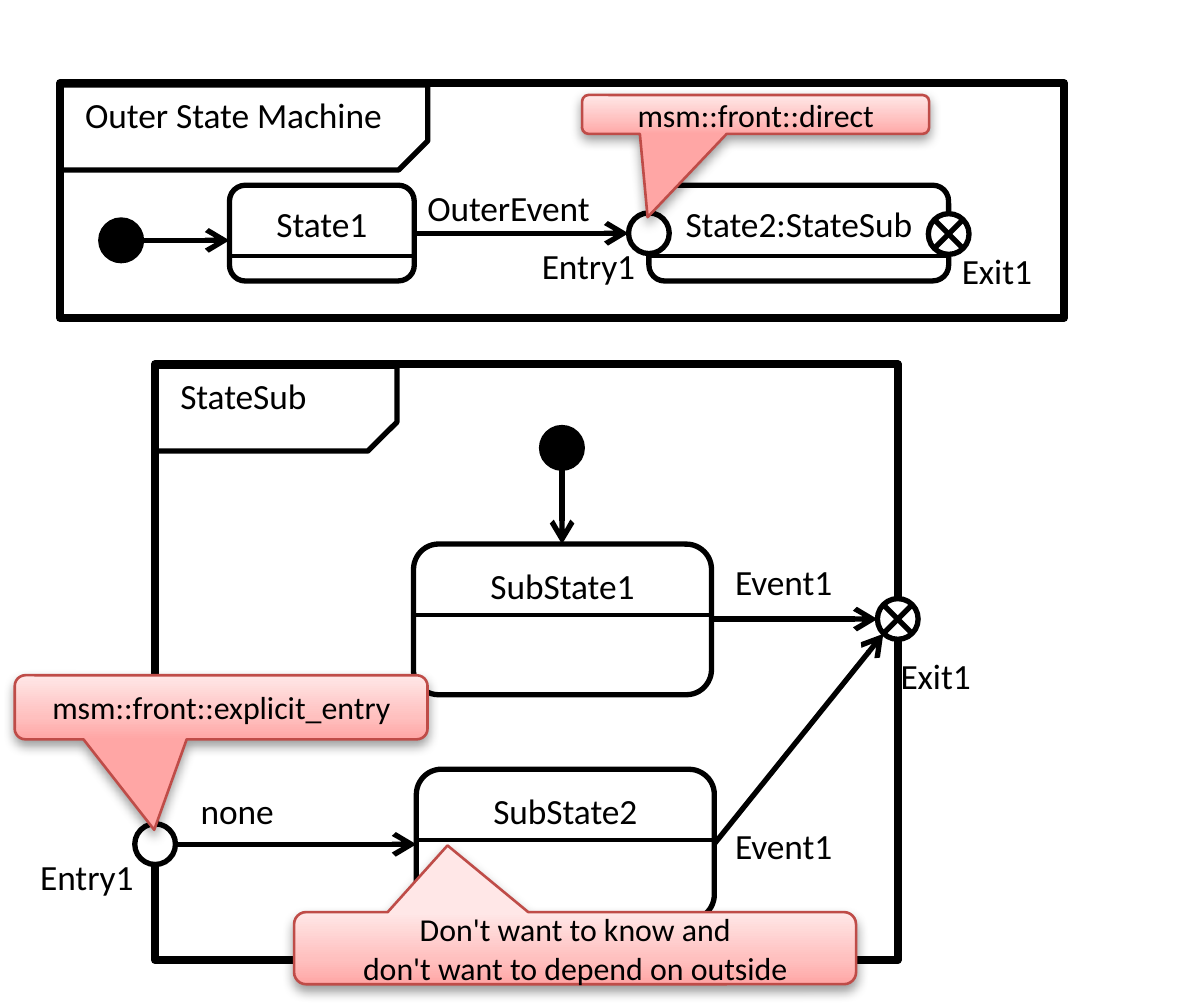
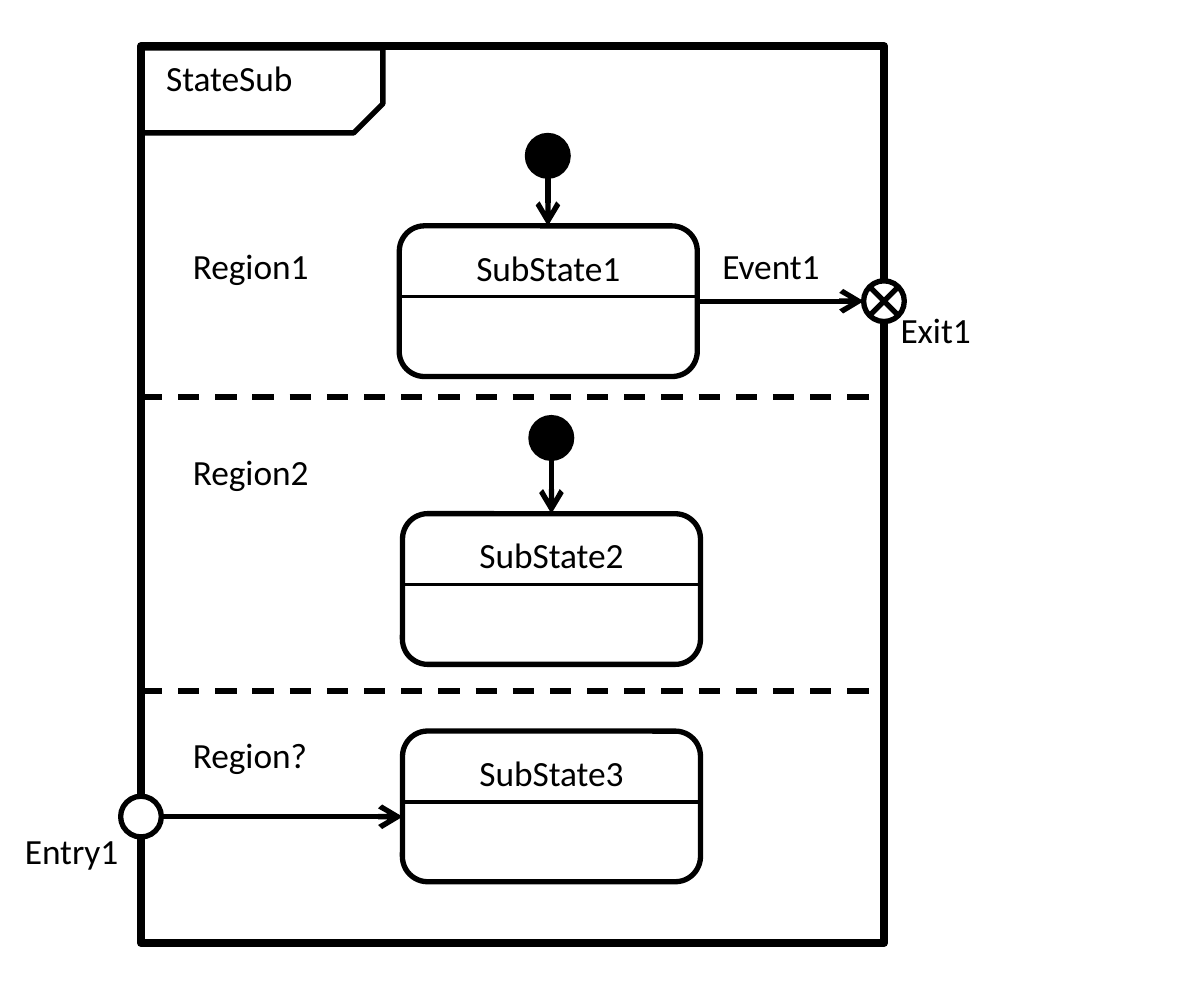
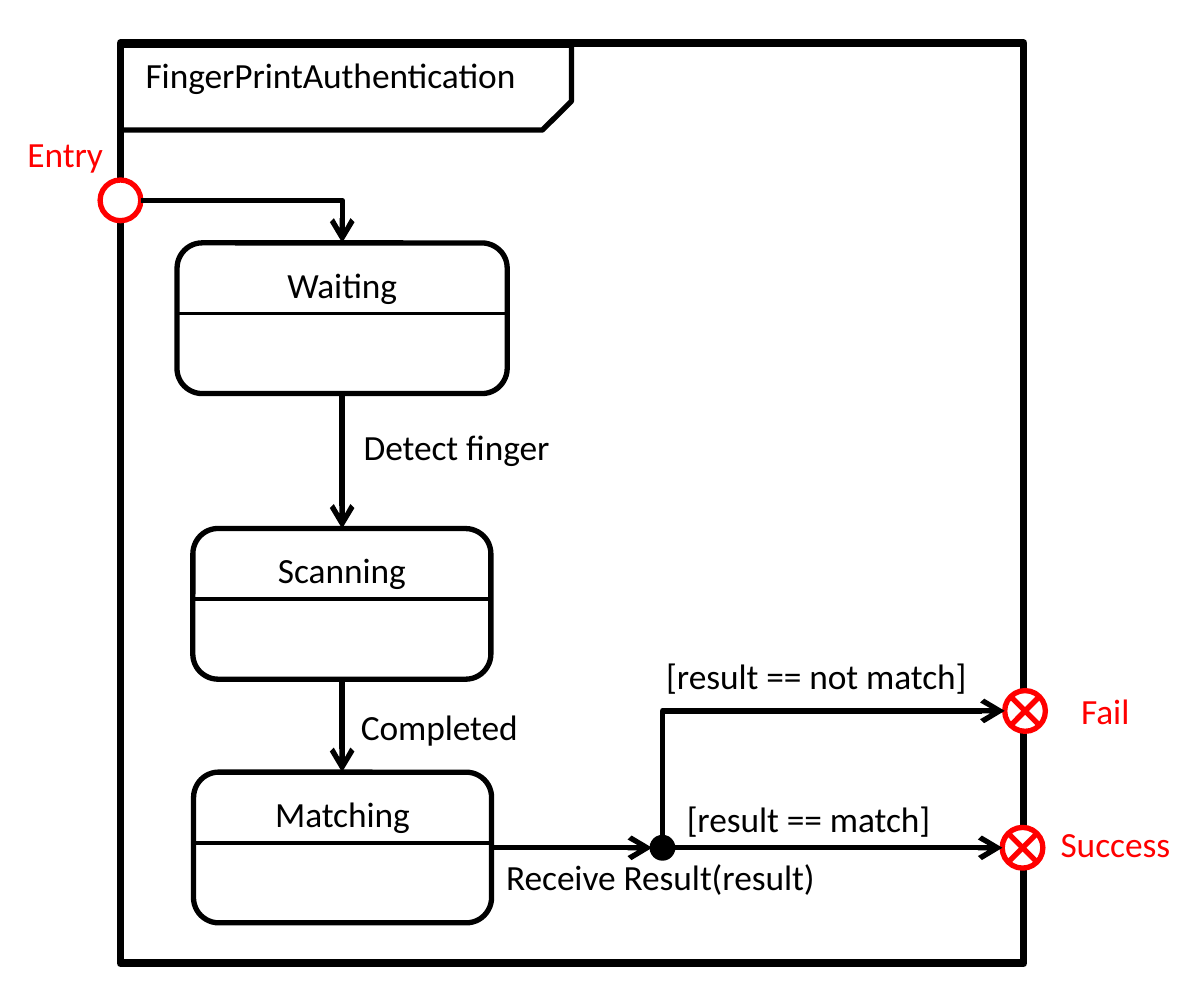
from lxml.etree import SubElement
from pptx import Presentation
from pptx.dml.color import RGBColor
from pptx.enum.dml import MSO_LINE as Dash
from pptx.enum.shapes import MSO_CONNECTOR as Link, MSO_SHAPE as Form
from pptx.enum.text import MSO_ANCHOR as Anchor, MSO_AUTO_SIZE as Fit, PP_ALIGN as Align
from pptx.oxml import parse_xml
from pptx.oxml.ns import nsdecls, qn
from pptx.util import Pt

BLACK, WHITE, RED, BRICK = "000000", "FFFFFF", "FF0000", "BF4C48"
STOPS = ((0, "FFA6A5"), (35, "FFC0BF"), (100, "FFE7E7"))
DOT = 11.5
WIDE, TALL = 84.3, 42.6


def hue(code):
    return RGBColor.from_string(code)


def put(frame, text, size=10, color=BLACK, align=Align.LEFT, anchor=Anchor.TOP):
    """Fill a text frame; each line of text becomes a paragraph."""
    frame.word_wrap = True
    frame.vertical_anchor = anchor
    frame.text = text
    for para in frame.paragraphs:
        para.alignment = align
        para.font.name = "Calibri"
        para.font.size = Pt(size)
        para.font.color.rgb = hue(color)


class Chart:
    """Draws state machine parts on the current slide, in points."""

    def __init__(self, wide, tall):
        self.deck = Presentation()
        self.deck.slide_width, self.deck.slide_height = Pt(wide), Pt(tall)

    def page(self):
        self.shapes = self.deck.slides.add_slide(self.deck.slide_layouts[6]).shapes

    def shape(self, form, x, y, w, h, fill=None, color=BLACK, weight=1.5, adj=()):
        item = self.shapes.add_shape(form, Pt(x), Pt(y), Pt(w), Pt(h))
        item.shadow.inherit = False
        if fill:
            item.fill.solid()
            item.fill.fore_color.rgb = hue(fill)
        else:
            item.fill.background()
        item.line.color.rgb = hue(color)
        item.line.width = Pt(weight)
        for i, value in enumerate(adj):
            item.adjustments[i] = value
        return item

    def line(self, x1, y1, x2, y2, color=BLACK, weight=1.5, dash=None,
             head=False, kind=Link.STRAIGHT):
        item = self.shapes.add_connector(kind, Pt(x1), Pt(y1), Pt(x2), Pt(y2))
        item.line.color.rgb = hue(color)
        item.line.width = Pt(weight)
        if dash:
            item.line.dash_style = dash
        if head:
            SubElement(item.line._get_or_add_ln(), qn("a:tailEnd"), type="arrow")
        SubElement(item._element.spPr, qn("a:effectLst"))
        return item

    def arrow(self, x1, y1, x2, y2):
        self.line(x1, y1, x2, y2, head=True)

    def bend(self, x1, y1, x2, y2, rise=False):
        """One-corner arrow: level first, or upward first if rise."""
        if rise:
            mx, my = (x1 + x2) / 2, (y1 + y2) / 2
            dx, dy = (x2 - x1) / 2, (y1 - y2) / 2
            x1, y1, x2, y2 = mx + dy, my + dx, mx - dy, my - dx
        part = self.line(x1, y1, x2, y2, head=True, kind=Link.ELBOW)._element.spPr
        part.find(qn("a:prstGeom")).set("prst", "bentConnector2")
        if rise:
            part.find(qn("a:xfrm")).set("rot", "5400000")

    def label(self, text, x, y, w=52.6, color=BLACK):
        box = self.shapes.add_textbox(Pt(x), Pt(y), Pt(w), Pt(19.4))
        put(box.text_frame, text, color=color)
        box.text_frame.auto_size = Fit.SHAPE_TO_FIT_TEXT

    def frame(self, text, x, y, w, h, tab):
        self.shape(Form.RECTANGLE, x, y, w, h, weight=2.25)
        flap = self.shape(Form.SNIP_1_RECTANGLE, x, y + 0.6, tab, 24, adj=[0.343])
        flap._element.spPr.find(qn("a:xfrm")).set("flipV", "1")
        self.label(text, x, y - 0.7, tab + 3)

    def state(self, text, x, y, w=WIDE, h=TALL):
        box = self.shape(Form.ROUNDED_RECTANGLE, x, y, w, h)
        put(box.text_frame, text, align=Align.CENTER)
        self.line(x, y + 20, x + w, y + 20, weight=1)

    def dot(self, x, y, fill=BLACK, color=BLACK, size=DOT):
        """Circle around the centre x, y."""
        return self.shape(Form.FLOWCHART_CONNECTOR, x - size / 2, y - size / 2,
                          size, size, fill, color)

    def entry(self, x, y, color=BLACK):
        self.dot(x, y, WHITE, color)

    def exit(self, x, y, color=BLACK):
        ring, d = self.dot(x, y, WHITE, color), 4
        cross = [self.line(x - d, y - s, x + d, y + s, color) for s in (d, -d)]
        self.shapes.add_group_shape([ring, *cross])

    def note(self, text, x, y, w, h, tip):
        box = self.shape(Form.ROUNDED_RECTANGULAR_CALLOUT, x, y, w, h,
                         color=BRICK, weight=0.75, adj=(*tip, 0.167))
        put(box.text_frame, text, 9, align=Align.CENTER, anchor=Anchor.MIDDLE)
        stops = "".join(f'<a:gs pos="{at * 1000}"><a:srgbClr val="{code}"/></a:gs>'
                        for at, code in STOPS)
        part = box._element.spPr
        part.replace(part.find(qn("a:noFill")), parse_xml(
            f'<a:gradFill {nsdecls("a")} rotWithShape="1"><a:gsLst>{stops}</a:gsLst>'
            '<a:lin ang="16200000" scaled="1"/></a:gradFill>'))
        part.find(qn("a:effectLst")).append(parse_xml(
            f'<a:outerShdw {nsdecls("a")} blurRad="40000" dist="20000" dir="5400000" '
            f'rotWithShape="0"><a:srgbClr val="{BLACK}"><a:alpha val="38000"/>'
            '</a:srgbClr></a:outerShdw>'))


def direct(c):
    c.page()
    left, right, low, mid = 43.9, 254, 238.8, 175.1
    c.frame("StateSub", left, 103, right - left, 168.6, 68.4)
    c.arrow(159, 132.5, 159, 153.9)
    c.dot(159, 126.7)
    c.state("SubState1", 117, 153.9)
    c.state("SubState2", 117.8, 217.6)
    c.arrow(left + DOT / 2, low, 117.8, low)
    c.entry(left, low)
    c.exit(right, mid)
    c.arrow(201.3, mid, right - DOT / 2, mid)
    c.arrow(202, low, 249.9, 179.3)
    c.label("Entry1", 4.3, 238.3)
    c.label("Exit1", 247.7, 181.4, 39.6)
    for y in (154.8, 229.7):
        c.label("Event1", 200.9, y)

    c.frame("Outer State Machine", 17, 23.5, 284, 66.5, 104)
    c.dot(34.3, 68)
    c.arrow(40.1, 68, 64.9, 68)
    c.state("State1", 64.9, 52.4, 52.3, 27.1)
    c.state("State2:StateSub", 183.6, 52.4, 84.8, 27.1)
    c.arrow(117.2, 66, 177.8, 66)
    c.label("OuterEvent", 113.8, 49, 64)
    c.entry(183.6, 66)
    c.label("Entry1", 146.2, 65.5)
    c.exit(268.4, 66.2)
    c.label("Exit1", 265, 67, 39.6)

    c.note("Don't want to know and\ndon't want to depend on outside",
           83.2, 258, 159, 20.4, (-0.227, -1.424))
    c.label("none", 49.7, 219.6, 64)
    c.note("msm::front::explicit_entry", 4.2, 191, 116.8, 18.1, (-0.162, 1.914))
    c.note("msm::front::direct", 164.7, 26.9, 98.2, 11, (-0.311, 2.643))


def regions(c):
    c.page()
    left, right, low, mid = 39.9, 250.1, 231, 85.2
    c.frame("StateSub", left, 13, right - left, 253.8, 68.4)
    for i, (x, y) in enumerate(((113, 63.9), (113.9, 145.3), (113.9, 206.8)), 1):
        c.state(f"SubState{i}", x, y)
    for x, y, end in ((155, 44.1, 63.9), (156, 123.9, 145.3)):
        c.arrow(x, y + DOT / 2, x, end)
        c.dot(x, y)
    c.exit(right, mid)
    c.arrow(197.3, mid, right - DOT / 2, mid)
    c.label("Event1", 197.3, 65.5)
    c.label("Exit1", 247.7, 83.5, 39.6)
    for y in (112.3, 195.5):
        c.line(left, y, right, y, dash=Dash.DASH)
    for mark, y in (("1", 65.5), ("2", 123.8), ("?", 203.8)):
        c.label(f"Region{mark}", 47.5, y)
    c.arrow(left + DOT / 2, low, 113.9, low)
    c.entry(left, low)
    c.label("Entry1", 0, 231.1)


def finger(c):
    c.page()
    left, axis, low, top, fork = 34.1, 96.8, 239.8, 201.1, 187.4
    c.frame("FingerPrintAuthentication", left, 12.2, 255.5, 260.3, 127.6)
    c.state("Waiting", 50.1, 68.7, 93.4)
    c.state("Scanning", 54.6, 149.5)
    c.state("Matching", 54.8, 218.4)
    c.entry(left, 56.7, RED)
    c.bend(left + DOT / 2, 56.7, axis, 68.7)
    c.arrow(axis, 111.3, axis, 149.5)
    c.arrow(axis, 192.1, axis, 218.4)
    c.exit(290, top, RED)
    c.exit(289.3, low, RED)
    c.dot(fork, low, size=5.8)
    c.arrow(139.1, low, fork - 2.9, low)
    c.arrow(fork + 2.9, low, 283.6, low)
    c.bend(fork, low - 2.9, 284.2, top, rise=True)
    c.label("Detect finger", 95.8, 116.6, 68.4)
    c.label("Completed", 95, 195.8, 68.4)
    c.label("Receive Result(result)", 136.1, 238.3, 109.4)
    c.label("[result == match]", 187.2, 221.8, 93)
    c.label("[result == not match]", 181.4, 181.4, 113.8)
    c.label("Entry", 0.7, 33.8, color=RED)
    c.label("Fail", 298.8, 191.5, 41, RED)
    c.label("Success", 293, 229, 47.4, RED)


def main():
    chart = Chart(340.6, 283.7)
    for draw in (direct, regions, finger):
        draw(chart)
    chart.deck.save("out.pptx")


if __name__ == "__main__":
    main()
